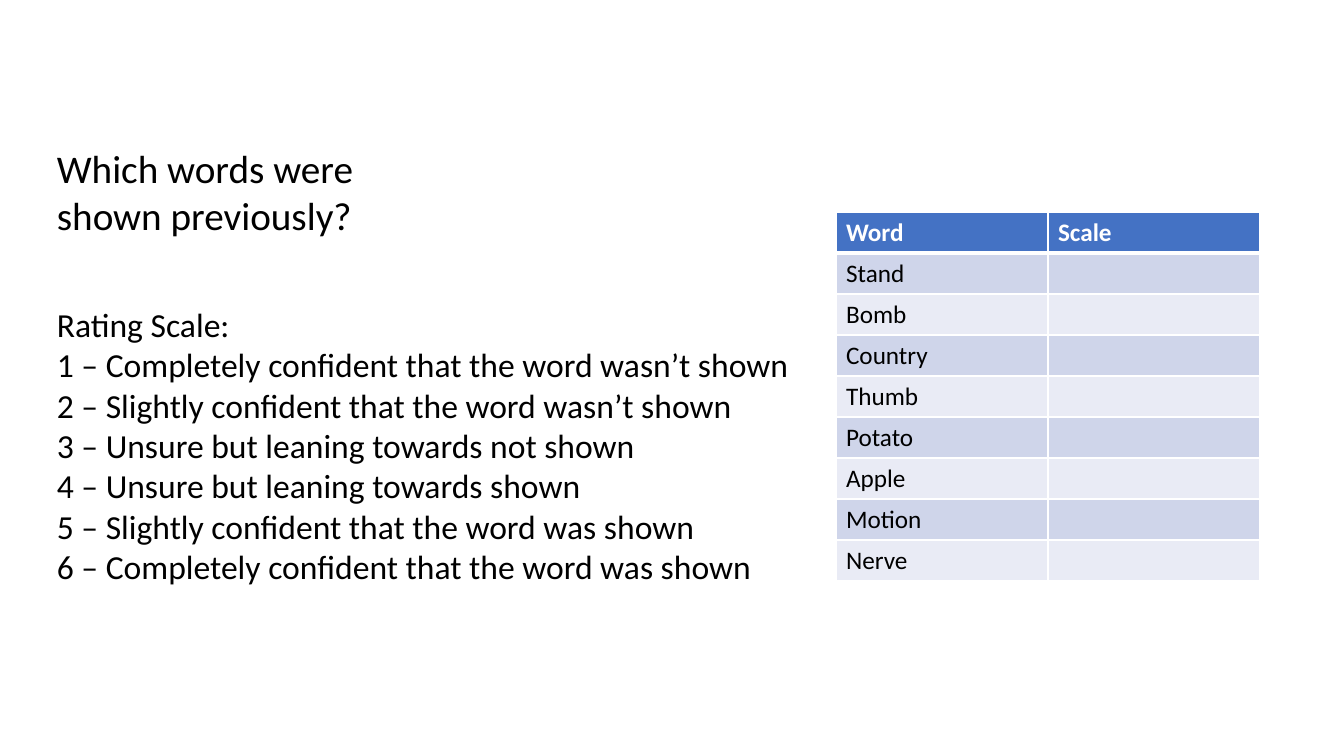
import dataclasses
import typing

import lxml.etree
import pptx
import pptx.dml.color
import pptx.enum.text
import pptx.oxml.ns
import pptx.util

SCALE = 914400 / 100.8
FONT = "Calibri"
BLACK, WHITE, BLUE = "000000", "FFFFFF", "4472C4"
BANDS = ("CFD5EA", "E9EBF5")
WORDS = ("Stand", "Bomb", "Country", "Thumb", "Potato", "Apple", "Motion", "Nerve")
ROW, COL = 41, 212
THIN, THICK = 1, 3


@dataclasses.dataclass
class Note:
    """A block of text lines with its place and size."""
    left: int
    top: int
    width: int
    height: int
    size: int
    lines: tuple[str, ...]


NOTES = (
    Note(47, 139, 436, 105, 28, ("Which words were ", "shown previously?")),
    Note(47, 299, 766, 295, 24, (
        "Rating Scale: ",
        "1 – Completely confident that the word wasn’t shown ",
        "2 – Slightly confident that the word wasn’t shown ",
        "3 – Unsure but leaning towards not shown ",
        "4 – Unsure but leaning towards shown ",
        "5 – Slightly confident that the word was shown ",
        "6 – Completely confident that the word was shown ")),
)


def px(count: int) -> int:
    """Turn pixels into EMU."""
    return round(count * SCALE)


def tint(code: str) -> pptx.dml.color.RGBColor:
    """Turn a hex string into a colour."""
    return pptx.dml.color.RGBColor.from_string(code)


def style(text: typing.Any, size: int, color: str, bold: bool = False) -> None:
    """Set the font of a paragraph."""
    form = {"name": FONT, "size": pptx.util.Pt(size), "bold": bold}
    for key, value in form.items():
        setattr(text.font, key, value)
    text.font.color.rgb = tint(color)


def edge(cell: typing.Any, side: str, width: int) -> None:
    """Add a white border to one side of a cell."""
    name = pptx.oxml.ns.qn
    props = cell._tc.get_or_add_tcPr()
    line = lxml.etree.SubElement(props, name(f"a:ln{side}"), w=str(pptx.util.Pt(width)))
    fill = lxml.etree.SubElement(line, name("a:solidFill"))
    lxml.etree.SubElement(fill, name("a:srgbClr"), val=WHITE)


def write(slide: typing.Any, note: Note) -> None:
    """Draw a note as a text box."""
    box = slide.shapes.add_textbox(
        *map(px, (note.left, note.top, note.width, note.height)))
    frame = box.text_frame
    form = {"word_wrap": True, "text": "\n".join(note.lines),
            "auto_size": pptx.enum.text.MSO_AUTO_SIZE.SHAPE_TO_FIT_TEXT}
    for key, value in form.items():
        setattr(frame, key, value)
    for line in frame.paragraphs:
        style(line, note.size, BLACK)


def chart(slide: typing.Any, left: int, top: int) -> None:
    """Draw the table of words to rate."""
    rows = [("Word", "Scale")] + [(word, "") for word in WORDS]
    size = (2 * COL, ROW * len(rows))
    grid = slide.shapes.add_table(len(rows), 2, *map(px, (left, top, *size))).table
    for col in grid.columns:
        col.width = px(COL)
    for r, row in enumerate(rows):
        head = r == 0
        for c, word in enumerate(row):
            cell = grid.cell(r, c)
            cell.text = word
            style(cell.text_frame.paragraphs[0], 18, WHITE if head else BLACK, head)
            widths = {"L": THIN, "R": THIN, "T": THICK if r == 1 else THIN,
                      "B": THICK if head else THIN}
            for side, width in widths.items():
                edge(cell, side, width)
            cell.fill.solid()
            cell.fill.fore_color.rgb = tint(BLUE if head else BANDS[(r - 1) % 2])


def main() -> None:
    """Build the slide and save it."""
    deck = pptx.Presentation()
    deck.slide_width, deck.slide_height = px(1344), px(756)
    slide = deck.slides.add_slide(deck.slide_layouts[6])
    chart(slide, 836, 212)
    for note in NOTES:
        write(slide, note)
    deck.save("out.pptx")


main()
